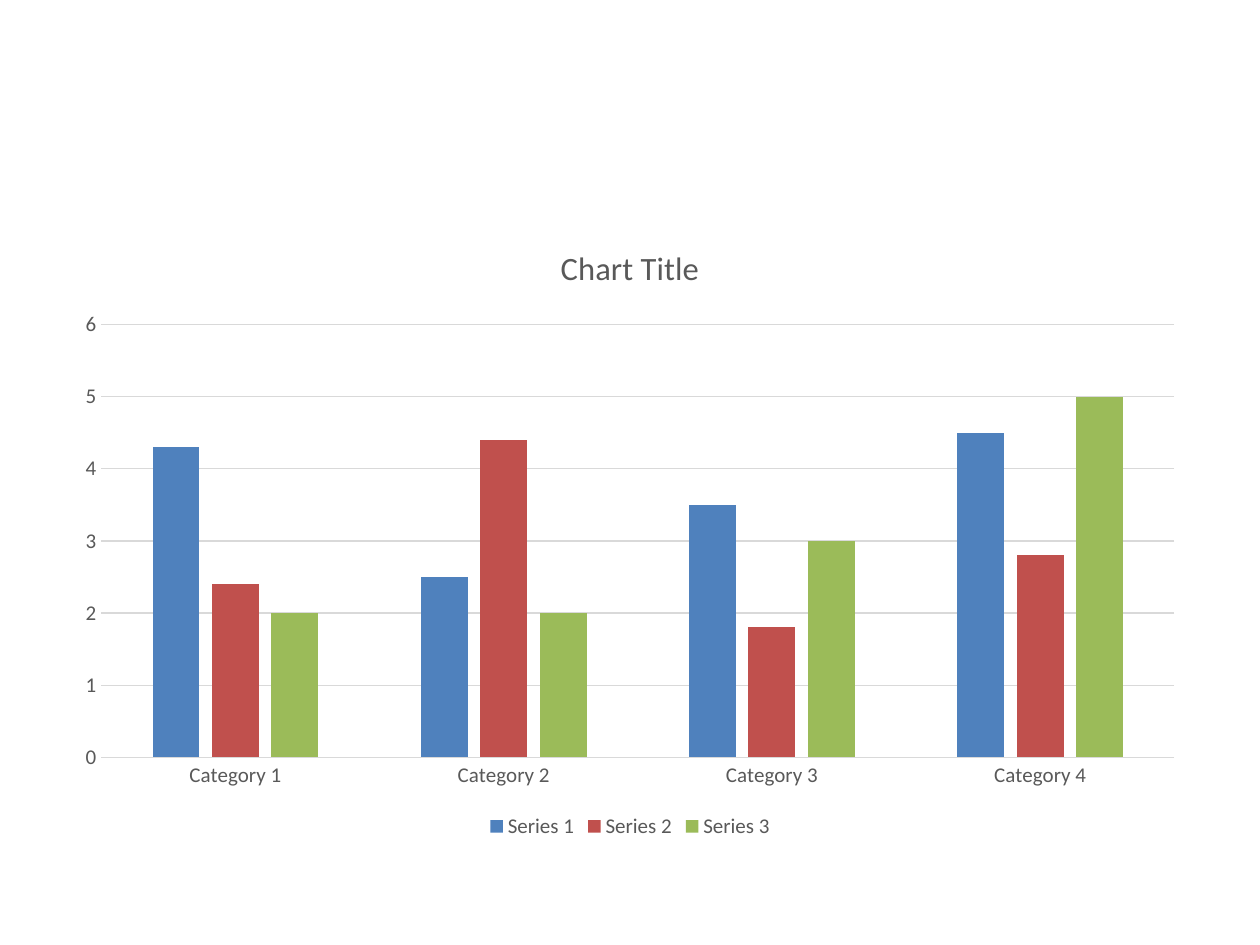
from pptx import Presentation
from pptx.chart.data import CategoryChartData as Data
from pptx.dml.color import RGBColor as RGB
from pptx.enum.chart import XL_CHART_TYPE as Kind, XL_LEGEND_POSITION as Place
from pptx.enum.chart import XL_TICK_MARK as Tick
from pptx.util import Emu, Pt

SCALE = 914400 / 126
FACE = "Calibri"
HUES = {"text": "595959", "grid": "D9D9D9", "Series 1": "4F81BD",
        "Series 2": "C0504D", "Series 3": "9BBB59"}
CATS = [f"Category {n}" for n in range(1, 5)]
ROWS = {"Series 1": (4.3, 2.5, 3.5, 4.5),
        "Series 2": (2.4, 4.4, 1.8, 2.8),
        "Series 3": (2, 2, 3, 5)}


def px(size):
    return Emu(round(size * SCALE))


def hue(name):
    return RGB.from_string(HUES[name])


def set_font(font, size):
    font.name = FACE
    font.size = Pt(size)
    font.bold = False
    font.color.rgb = hue("text")


def set_line(line):
    line.color.rgb = hue("grid")
    line.width = Pt(0.75)


def add_chart(slide, left, top, width, height):
    data = Data(number_format="General")
    data.categories = CATS
    for name, vals in ROWS.items():
        data.add_series(name, vals)
    frame = slide.shapes.add_chart(Kind.COLUMN_CLUSTERED, px(left), px(top),
                                   px(width), px(height), data)
    return frame.chart


def set_title(chart, text):
    chart.has_title = True
    title = chart.chart_title
    title.include_in_layout = False
    run = title.text_frame.paragraphs[0].add_run()
    run.text = text
    set_font(run.font, 18.6)


def set_bars(chart):
    plot = chart.plots[0]
    plot.vary_by_categories = False
    plot.gap_width = 219
    plot.overlap = -27
    for bars in plot.series:
        bars.invert_if_negative = False
        bars.format.fill.solid()
        bars.format.fill.fore_color.rgb = hue(bars.name)


def set_axes(chart):
    cat, val = chart.category_axis, chart.value_axis
    for axis in (cat, val):
        axis.major_tick_mark = axis.minor_tick_mark = Tick.NONE
        set_font(axis.tick_labels.font, 12)
    set_line(cat.format.line)
    val.format.line.fill.background()
    val.has_major_gridlines = True
    set_line(val.major_gridlines.format.line)


def set_legend(chart):
    chart.has_legend = True
    chart.legend.position = Place.BOTTOM
    chart.legend.include_in_layout = False
    set_font(chart.legend.font, 12)


def main():
    """Build a slide with one clustered column chart."""
    deck = Presentation()
    deck.slide_width, deck.slide_height = px(1260), px(945)
    slide = deck.slides.add_slide(deck.slide_layouts[6])
    chart = add_chart(slide, 63, 220, 1134, 624)
    set_title(chart, "Chart Title")
    set_bars(chart)
    set_axes(chart)
    set_legend(chart)
    deck.save("out.pptx")


main()
